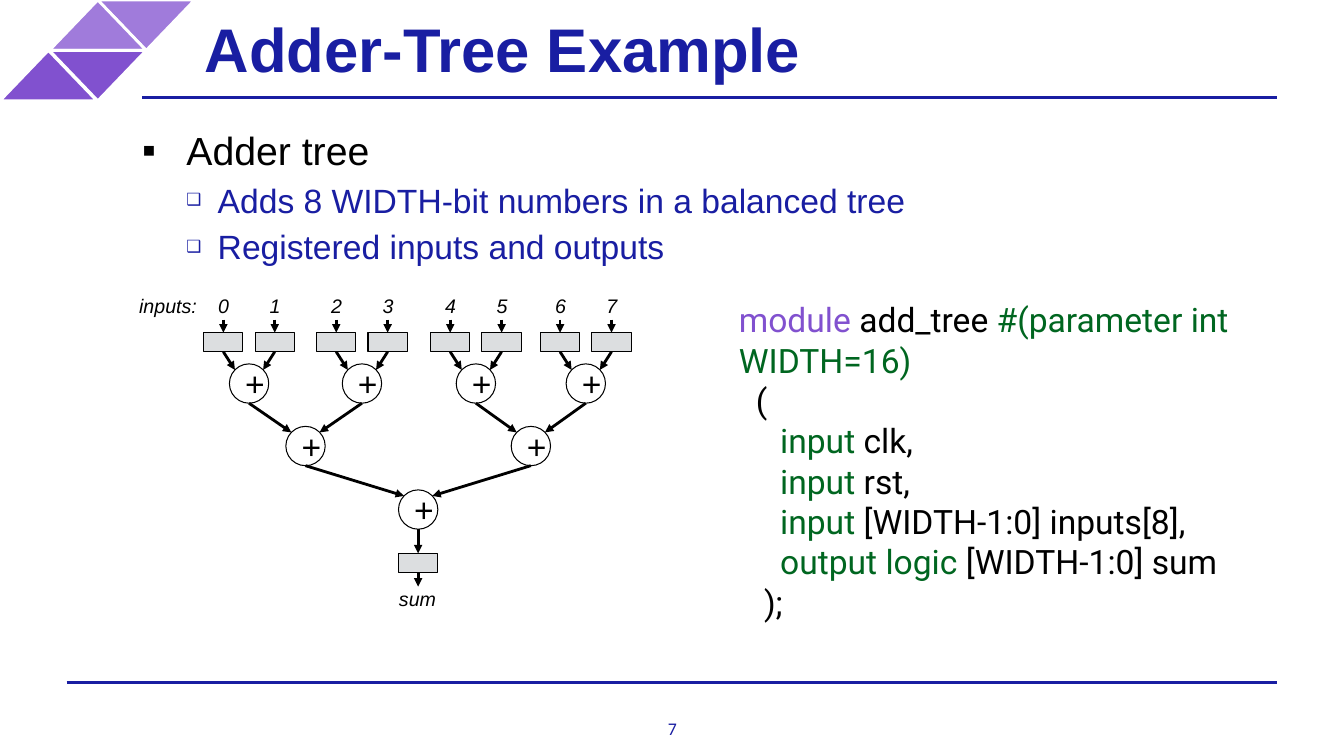
from dataclasses import dataclass

from lxml import etree
from pptx import Presentation
from pptx import util as u
from pptx.dml.color import RGBColor
from pptx.enum import shapes, text
from pptx.oxml.ns import qn

MSO = shapes.MSO_SHAPE


@dataclass(frozen=True)
class Theme:
    """Colours, fonts and type sizes of the slide."""
    navy: str = "191EA2"
    purple: str = "8151CF"
    lilac: str = "A07BDB"
    green: str = "006620"
    black: str = "000000"
    white: str = "FFFFFF"
    grey: str = "DCDEE0"
    sans: str = "Arial"
    code: str = "Roboto"
    small: str = "Calibri"
    title_pt: float = 44
    head_pt: float = 28
    body_pt: float = 24
    label_pt: float = 14
    page_pt: float = 12.7
    rule_pt: float = 2
    outline_pt: float = 0.75


@dataclass(frozen=True)
class Run:
    """A stretch of text in one style."""
    text: str
    size: float
    color: str = "000000"
    font: str = "Arial"
    bold: bool = False
    italic: bool = False


@dataclass(frozen=True)
class Para:
    """A paragraph with its indents (inches), spacing (points) and bullet."""
    runs: list[Run]
    left: float = 0
    hang: float = 0
    before: float = 0
    bullet: str = ""
    bullet_pct: int = 100
    spacing: float | None = None
    align: text.PP_ALIGN = text.PP_ALIGN.LEFT


@dataclass(frozen=True)
class Node:
    """A register or an adder, given by its top centre."""
    x: float
    y: float
    height: float

    @property
    def bottom(self) -> tuple[float, float]:
        """Point where outgoing arrows start."""
        return self.x, self.y + self.height


T = Theme()
NODE_W, REG_H = 0.39, 0.19
REG_Y, LABEL_Y, INPUT_Y = 3.3, 2.86, 3.17
ADDER_YS = (3.61, 4.23, 4.86)
PAIR_XS = (2.47, 3.59, 4.72, 5.81)
PAIR_GAP = 0.51

prs = Presentation()
prs.slide_width, prs.slide_height = u.Inches(13.33), u.Inches(7.5)
s = prs.slides.add_slide(prs.slide_layouts[6])


def write(tf, paras: list[Para]) -> None:
    """Fill a text frame with styled paragraphs."""
    for i, para in enumerate(paras):
        p = tf.paragraphs[0] if i == 0 else tf.add_paragraph()
        p.alignment = para.align
        p.space_before = u.Pt(para.before)
        if para.spacing:
            p.line_spacing = para.spacing
        pPr = p._p.get_or_add_pPr()
        pPr.set("marL", str(u.Inches(para.left)))
        pPr.set("indent", str(u.Inches(para.hang)))
        if para.bullet:
            etree.SubElement(pPr, qn("a:buSzPct"), val=str(para.bullet_pct * 1000))
            etree.SubElement(pPr, qn("a:buFont"), typeface=T.sans)
            etree.SubElement(pPr, qn("a:buChar"), char=para.bullet)
        for run in para.runs:
            r = p.add_run()
            r.text = run.text
            r.font.size, r.font.name = u.Pt(run.size), run.font
            r.font.bold, r.font.italic = run.bold, run.italic
            r.font.color.rgb = RGBColor.from_string(run.color)


def textbox(x: float, y: float, w: float, h: float, paras: list[Para],
            inset: float = 0, middle: bool = False, wrap: bool = True):
    """Add a text box with equal insets and return its frame."""
    tf = s.shapes.add_textbox(*map(u.Inches, (x, y, w, h))).text_frame
    tf.word_wrap = wrap
    tf.margin_left = tf.margin_right = tf.margin_top = tf.margin_bottom = u.Inches(inset)
    tf.vertical_anchor = text.MSO_ANCHOR.MIDDLE if middle else text.MSO_ANCHOR.TOP
    write(tf, paras)
    return tf


def shape(kind: MSO, x: float, y: float, w: float, h: float, fill: str | None,
          line: str, line_pt: float):
    """Add a preset shape without shadow."""
    sp = s.shapes.add_shape(kind, *map(u.Inches, (x, y, w, h)))
    sp.shadow.inherit = False
    if fill:
        sp.fill.solid()
        sp.fill.fore_color.rgb = RGBColor.from_string(fill)
    else:
        sp.fill.background()
    sp.line.color.rgb = RGBColor.from_string(line)
    sp.line.width = u.Pt(line_pt)
    return sp


def line(start: tuple[float, float], end: tuple[float, float], color: str,
         arrow: bool = False) -> None:
    """Add a straight line, with an arrowhead at its end if asked."""
    c = s.shapes.add_connector(shapes.MSO_CONNECTOR.STRAIGHT,
                               *map(u.Inches, (*start, *end)))
    c.line.color.rgb = RGBColor.from_string(color)
    c.line.width = u.Pt(T.rule_pt)
    if arrow:
        etree.SubElement(c.line._get_or_add_ln(), qn("a:tailEnd"), type="triangle")
    etree.SubElement(c._element.spPr, qn("a:effectLst"))


def label(x: float, y: float, w: float, words: str) -> None:
    """Add an italic diagram label."""
    run = Run(words, T.label_pt, italic=True)
    textbox(x, y, w, 0.34, [Para([run], left=0.06)], 0.06, middle=True)


def register(x: float, y: float) -> Node:
    """Draw a register centred on x."""
    shape(MSO.RECTANGLE, x - NODE_W / 2, y, NODE_W, REG_H, T.grey, T.black, T.outline_pt)
    return Node(x, y, REG_H)


def adder(x: float, y: float, sources: list[Node]) -> Node:
    """Draw an adder centred on x, fed by a left and a right source."""
    sp = shape(MSO.OVAL, x - NODE_W / 2, y, NODE_W, NODE_W, None, T.black, T.outline_pt)
    sp.text_frame.vertical_anchor = text.MSO_ANCHOR.MIDDLE
    write(sp.text_frame, [Para([Run("+", T.body_pt)])])
    for source, side in zip(sources, (-1, 1)):
        line(source.bottom, (x + side * 0.14, y + 0.06), T.black, arrow=True)
    return Node(x, y, NODE_W)


def frame() -> None:
    """Draw the corner triangles, the rules, the title and the page number."""
    for x, y, turn, fill in ((0.97, 0, 180, T.lilac), (0.49, 0, 0, T.lilac),
                             (0.49, 0.5, 180, T.purple), (0, 0.5, 0, T.purple)):
        shape(MSO.ISOSCELES_TRIANGLE, x, y, 0.96, 0.5, fill, T.white, T.rule_pt).rotation = turn
    for x, y in ((1.41, 0.97), (0.66, 6.77)):
        line((x, y), (12.67, y), T.navy)
    title = Run("Adder-Tree Example", T.title_pt, T.navy, bold=True)
    textbox(1.89, 0, 11.28, 0.95, [Para([title])], 0.14, middle=True)
    page = Run("7", T.page_pt, T.navy, T.small)
    textbox(6.62, 7.12, 0.1, 0.21, [Para([page], align=text.PP_ALIGN.CENTER)], wrap=False)


def bullets() -> None:
    """Write the bullet list."""
    paras = [Para([Run("Adder tree", T.head_pt)], 0.5, -0.44, 6, "▪", spacing=1.05)]
    for words in ("Adds 8 WIDTH-bit numbers in a balanced tree", "Registered inputs and outputs"):
        paras.append(Para([Run(words, T.body_pt, T.navy)], 0.81, -0.31, 3, "❑", 50, 1.05))
    textbox(1.35, 1.23, 8.4, 1.6, paras)


def code() -> None:
    """Write the module header, indented by paragraph margins."""
    lines = (
        (0, (("module ", T.purple), ("add_tree ", T.black), ("#(parameter int WIDTH=16)", T.green))),
        (0.17, (("(", T.black),)),
        (0.41, (("input ", T.green), ("clk,", T.black))),
        (0.41, (("input ", T.green), ("rst,", T.black))),
        (0.41, (("input", T.green), (" [WIDTH-1:0] inputs[8],", T.black))),
        (0.41, (("output logic ", T.green), ("[WIDTH-1:0] sum", T.black))),
        (0.25, ((");", T.black),)),
    )
    paras = [Para([Run(words, T.body_pt, color, T.code) for words, color in parts],
                  left=indent, hang=-indent if indent == 0 else 0) for indent, parts in lines]
    tf = textbox(7.23, 2.92, 5.6, 2.93, paras, 0.1)
    tf.margin_top = tf.margin_bottom = u.Inches(0.05)


def tree() -> None:
    """Draw the input registers, three levels of adders and the output."""
    label(1.26, LABEL_Y, 0.89, "inputs:")
    level = []
    for i in range(2 * len(PAIR_XS)):
        x = PAIR_XS[i // 2] + (i % 2 - 0.5) * PAIR_GAP
        label(x - 0.17, LABEL_Y, 0.38, str(i))
        line((x, INPUT_Y), (x, REG_Y), T.black, arrow=True)
        level.append(register(x, REG_Y))
    for y in ADDER_YS:
        pairs = zip(level[::2], level[1::2])
        level = [adder((a.x + b.x) / 2, y, [a, b]) for a, b in pairs]
    root = level[0]
    result = register(root.x, 5.49)
    line(root.bottom, (root.x, result.y), T.black, arrow=True)
    line(result.bottom, (root.x, 5.82), T.black, arrow=True)
    label(root.x - 0.31, 5.77, 0.89, "sum")


frame()
bullets()
code()
tree()
prs.save("out.pptx")
